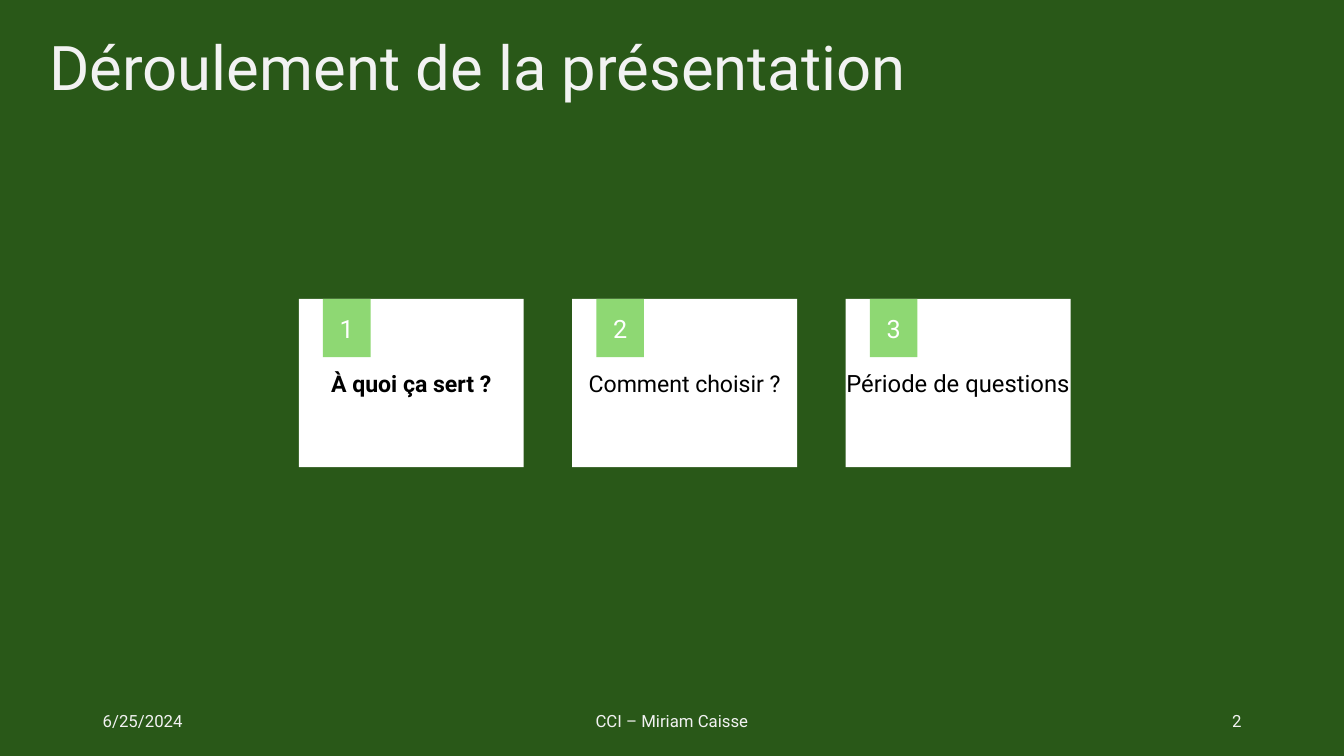
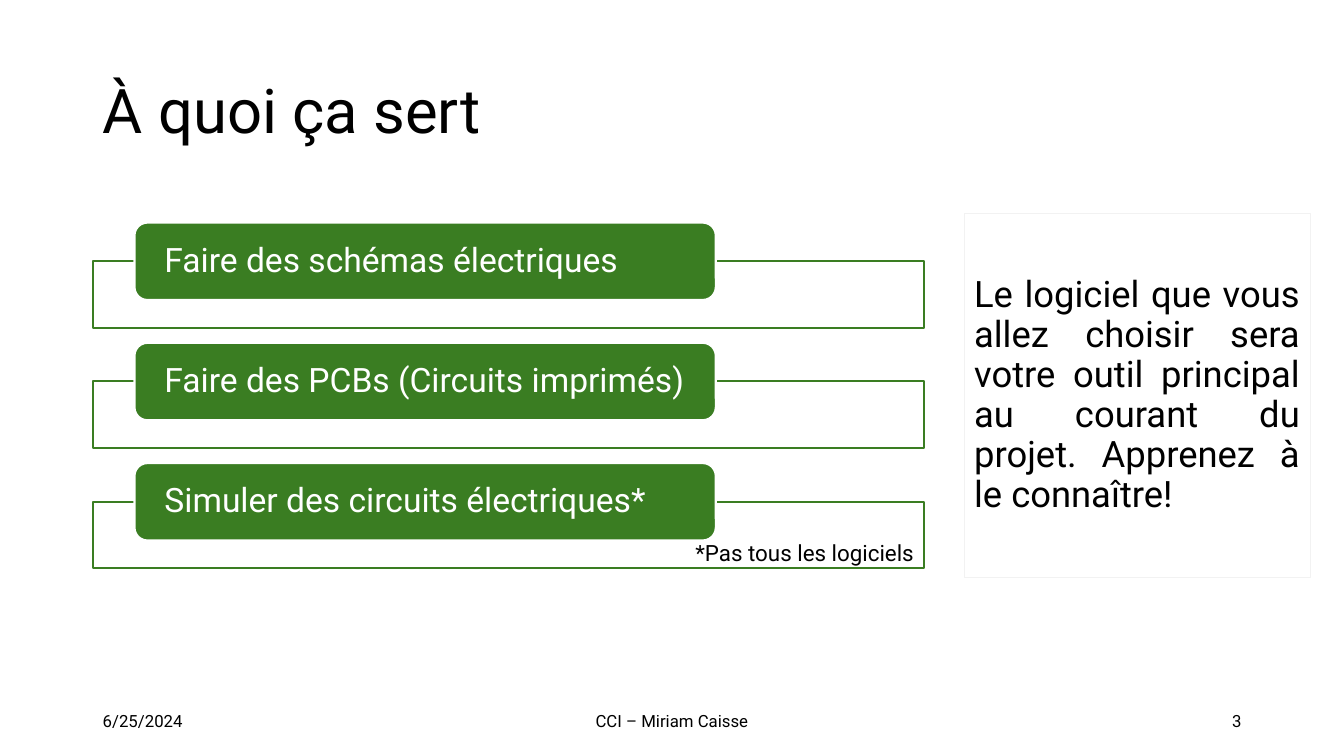
from pptx import Presentation
from pptx.dml.color import RGBColor
from pptx.enum.shapes import MSO_SHAPE as Shape
from pptx.enum.text import MSO_ANCHOR as Anchor, PP_ALIGN as Align
from pptx.util import Cm, Pt

FONT = "Roboto"
WHITE, BLACK, PALE = "FFFFFF", "000000", "F2F2F2"
FOREST, GREEN, LIME = "295818", "3A7D22", "8ED873"
DATE, AUTHOR = "6/25/2024", "CCI – Miriam Caisse"


def color(code):
    return RGBColor.from_string(code)


class Deck:
    def __init__(self):
        self.prs = Presentation()
        self.prs.slide_width = Cm(33.87)
        self.prs.slide_height = Cm(19.05)

    def start(self, background, ink, number):
        self.slide = self.prs.slides.add_slide(self.prs.slide_layouts[6])
        self.slide.background.fill.solid()
        self.slide.background.fill.fore_color.rgb = color(background)
        self.ink = ink
        for left, width, words, align in (
            (2.34, 7.62, DATE, Align.LEFT),
            (11.22, 11.43, AUTHOR, Align.CENTER),
            (23.92, 7.62, str(number), Align.RIGHT),
        ):
            self.text(words, left, 17.66, width, 1.01, 12, align=align)

    def label(self, shape, words, size, ink, align, anchor=Anchor.MIDDLE,
              bold=False, spacing=None):
        frame = shape.text_frame
        frame.word_wrap = True
        frame.vertical_anchor = anchor
        frame.text = words
        paragraph = frame.paragraphs[0]
        paragraph.alignment = align
        if spacing:
            paragraph.line_spacing = spacing
        font = paragraph.runs[0].font
        font.name, font.size, font.bold = FONT, Pt(size), bold
        font.color.rgb = color(ink)

    def pad(self, shape, side, top):
        frame = shape.text_frame
        frame.margin_left = frame.margin_right = Cm(side)
        frame.margin_top = frame.margin_bottom = Cm(top)

    def text(self, words, left, top, width, height, size, align=Align.LEFT, **style):
        box = self.slide.shapes.add_textbox(Cm(left), Cm(top), Cm(width), Cm(height))
        self.label(box, words, size, self.ink, align, **style)
        return box

    def title(self, words, left, top, height):
        self.text(words, left, top, 29.21, height, 44, spacing=0.9)

    def block(self, left, top, width, height, fill=None, line=None, weight=1.5,
              kind=Shape.RECTANGLE):
        block = self.slide.shapes.add_shape(
            kind, Cm(left), Cm(top), Cm(width), Cm(height))
        block.shadow.inherit = False
        if fill:
            block.fill.solid()
            block.fill.fore_color.rgb = color(fill)
        else:
            block.fill.background()
        if line:
            block.line.color.rgb = color(line)
            block.line.width = Pt(weight)
        else:
            block.line.fill.background()
        return block

    def card(self, left, number, words, size, bold):
        top, width = 7.53, 5.67
        self.block(left, top, width, 4.24, WHITE)
        self.ink = BLACK
        caption = self.text(words, left, top + 1.77, width, 0.71, size,
                            align=Align.CENTER, anchor=Anchor.TOP, bold=bold)
        self.pad(caption, 0, 0)
        badge = self.block(left + 0.61, top, 1.2, 1.47, LIME)
        self.label(badge, str(number), 18, WHITE, Align.CENTER)

    def use(self, top, words):
        self.block(2.34, top + 0.97, 20.94, 1.68, WHITE, GREEN)
        tab = self.block(3.39, top, 14.65, 1.95, GREEN, WHITE,
                         kind=Shape.ROUNDED_RECTANGLE)
        self.label(tab, words, 24, WHITE, Align.LEFT, spacing=0.9)
        self.pad(tab, 0.66, 0)

    def advice(self, words):
        panel = self.block(24.3, 5.38, 8.72, 9.17, line=PALE, weight=0.75)
        self.label(panel, words, 26, BLACK, Align.JUSTIFY, spacing=0.92)


def agenda(deck):
    deck.start(FOREST, PALE, 2)
    deck.title("Déroulement de la présentation", 1, 0.56, 2.44)
    topics = (("À quoi ça sert ?", 16.5, True),
              ("Comment choisir ?", 16.5, False),
              ("Période de questions", 17, False))
    for index, (topic, size, current) in enumerate(topics):
        deck.card(7.53 + index * 6.89, index + 1, topic, size, current)


def purposes(deck):
    deck.start(WHITE, BLACK, 3)
    deck.title("À quoi ça sert", 2.34, 1.02, 3.68)
    deck.advice("Le logiciel que vous allez choisir sera votre outil principal "
                "au courant du projet. Apprenez à le connaître!")
    uses = ("Faire des schémas électriques",
            "Faire des PCBs (Circuits imprimés)",
            "Simuler des circuits électriques*")
    for index, use in enumerate(uses):
        deck.use(5.61 + index * 3.03, use)
    deck.text("*Pas tous les logiciels", 12.64, 13.46, 10.64, 0.94, 16,
              align=Align.RIGHT, anchor=Anchor.TOP)


def main():
    deck = Deck()
    agenda(deck)
    purposes(deck)
    deck.prs.save("out.pptx")


if __name__ == "__main__":
    main()
